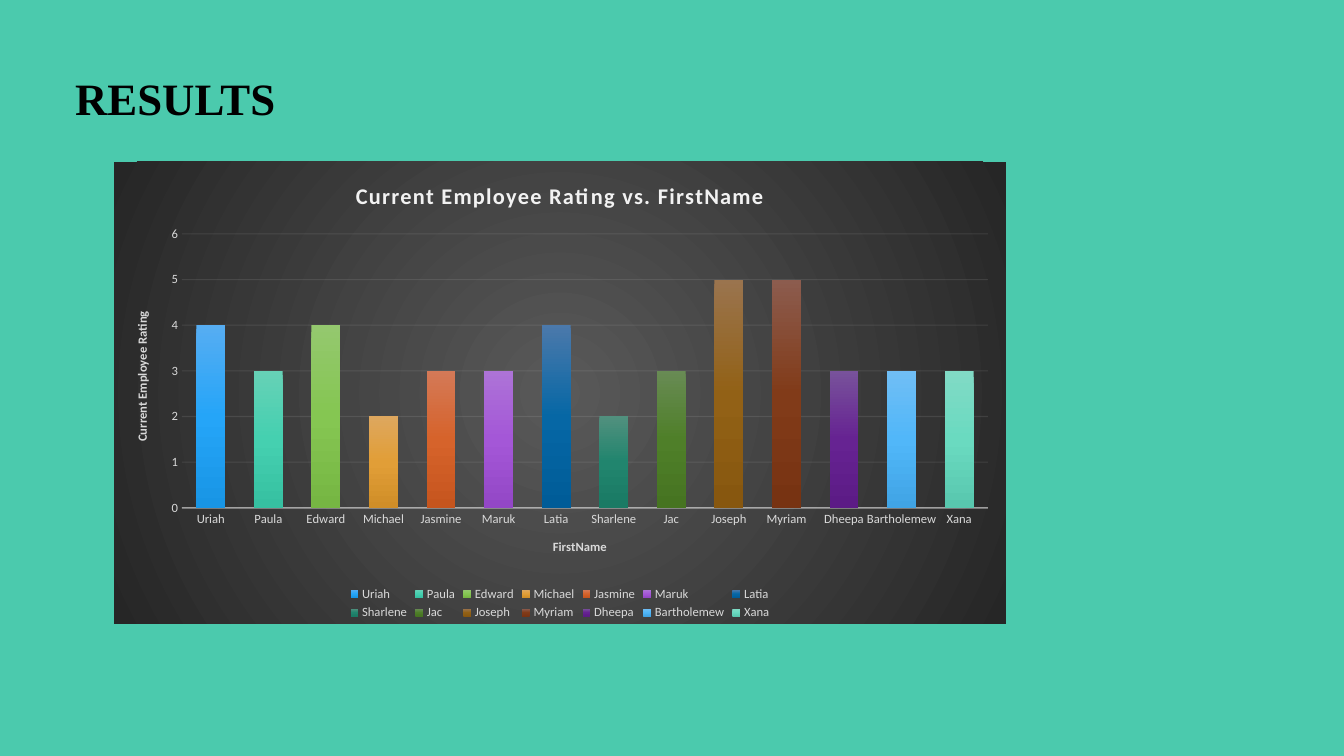
from lxml import etree
from pptx import Presentation
from pptx import util as u
from pptx.chart.data import CategoryChartData
from pptx.dml.color import RGBColor
from pptx.enum import chart as charts, text
from pptx.oxml import parse_xml
from pptx.oxml.ns import nsdecls, qn

PX = 914400 / 100.8
BODY_FONT = "Calibri"
LIGHT = "F2F2F2"
GREY = "D9D9D9"

# First name, rating, gradient from top to bottom
EMPLOYEES = [
    ("Uriah", 4, ("56ADF2", "25A5F8", "1895E5")),
    ("Paula", 3, ("66D1B6", "45D0B0", "36C0A1")),
    ("Edward", 4, ("94C86E", "85C652", "76B643")),
    ("Michael", 2, ("DEA75E", "E19E37", "D08E28")),
    ("Jasmine", 3, ("D47957", "D6632B", "C6551E")),
    ("Maruk", 3, ("AD73D7", "A457D7", "9347C6")),
    ("Latia", 4, ("4B79AB", "0667A5", "005C98")),
    ("Sharlene", 2, ("51907E", "21856E", "1A7A64")),
    ("Jac", 3, ("688B54", "4F7F29", "467421")),
    ("Joseph", 5, ("9A744E", "926116", "87570F")),
    ("Myriam", 5, ("8C5C4E", "813B19", "773312")),
    ("Dheepa", 3, ("78529B", "662392", "5C1B86")),
    ("Bartholemew", 3, ("70BEF5", "51B7F9", "40A4E5")),
    ("Xana", 3, ("81DAC5", "6ADAC0", "58C7AE")),
]


def style(font, size, colour, bold=False, name=BODY_FONT):
    font.name, font.size, font.bold = name, u.Pt(size), bold
    font.color.rgb = RGBColor.from_string(colour)


def gradient(colours, direction):
    """Gradient fill with evenly spaced stops."""
    stops = "".join(
        f'<a:gs pos="{100000 * i // (len(colours) - 1)}"><a:srgbClr val="{colour}"/></a:gs>'
        for i, colour in enumerate(colours))
    return parse_xml(f'<a:gradFill {nsdecls("a")} rotWithShape="1">'
                     f'<a:gsLst>{stops}</a:gsLst>{direction}</a:gradFill>')


deck = Presentation()
deck.slide_width, deck.slide_height = round(1344 * PX), round(756 * PX)
page = deck.slides.add_slide(deck.slide_layouts[5])
page.background.fill.solid()
page.background.fill.fore_color.rgb = RGBColor.from_string("4BCAAD")

# Heading
heading = page.shapes.title
heading.left, heading.top, heading.width, heading.height = (
    round(v * PX) for v in (65, 66, 765, 65))
frame = heading.text_frame
frame.text = "RESULTS"
frame.vertical_anchor = text.MSO_ANCHOR.TOP
frame.auto_size = text.MSO_AUTO_SIZE.NONE
para = frame.paragraphs[0]
para.alignment = text.PP_ALIGN.LEFT
style(para.font, 32, "000000", True, "Times New Roman")

# Rating chart
data = CategoryChartData()
data.categories = [name for name, rating, colours in EMPLOYEES]
data.add_series("Series 1", [rating for name, rating, colours in EMPLOYEES])
chart = page.shapes.add_chart(
    charts.XL_CHART_TYPE.COLUMN_CLUSTERED,
    *(round(v * PX) for v in (114, 162, 892, 462)), data).chart
style(chart.font, 10, "000000")

# Chart title
chart.has_title = True
chart.chart_title.include_in_layout = False
para = chart.chart_title.text_frame.paragraphs[0]
span = para.add_run()
span.text = "Current Employee Rating vs. FirstName"
style(span.font, 16, LIGHT, True)
span.font._element.set("spc", "100")

# Axes, with translucent lines
category_axis, value_axis = chart.category_axis, chart.value_axis
for axis, caption in ((category_axis, "FirstName"),
                      (value_axis, "Current Employee Rating")):
    axis.major_tick_mark = axis.minor_tick_mark = charts.XL_TICK_MARK.NONE
    style(axis.tick_labels.font, 9, GREY)
    axis.has_title = True
    para = axis.axis_title.text_frame.paragraphs[0]
    span = para.add_run()
    span.text = caption
    style(span.font, 9, GREY, True)
value_axis.minimum_scale, value_axis.maximum_scale, value_axis.major_unit = 0, 6, 1
value_axis.format.line.fill.background()
value_axis.has_major_gridlines = True
for line_format, width, opacity in (
        (category_axis.format, 1, 54),
        (value_axis.major_gridlines.format, 0.75, 10)):
    line = line_format.line
    line.width = u.Pt(width)
    line.color.rgb = RGBColor.from_string(LIGHT)
    for colour in line_format.element.spPr.iter(qn("a:srgbClr")):
        etree.SubElement(colour, qn("a:alpha")).set("val", str(opacity * 1000))

# Legend
chart.has_legend = True
chart.legend.position = charts.XL_LEGEND_POSITION.BOTTOM
chart.legend.include_in_layout = False
style(chart.legend.font, 9, GREY)

# Columns
plot = chart.plots[0]
plot.gap_width, plot.overlap, plot.vary_by_categories = 100, -24, True
for i, (name, rating, colours) in enumerate(EMPLOYEES):
    point = plot.series[0].points[i].format.element
    point.get_or_add_spPr().append(gradient(colours, '<a:lin ang="5400000" scaled="0"/>'))

# Plot area position, as shares of the chart
space = chart._chartSpace
area = space.find(".//" + qn("c:plotArea"))
for layout in area.findall(qn("c:layout")):
    area.remove(layout)
shares = "".join(f'<c:{key} val="{value}"/>' for key, value in (
    ("layoutTarget", "inner"), ("xMode", "edge"), ("yMode", "edge"),
    ("x", 68 / 892), ("y", 72 / 462), ("w", 806 / 892), ("h", 274 / 462)))
area.insert(0, parse_xml(f'<c:layout {nsdecls("c")}><c:manualLayout>{shares}'
                         '</c:manualLayout></c:layout>'))

# Dark radial backdrop
backdrop = parse_xml(f'<c:spPr {nsdecls("c", "a")}><a:ln><a:noFill/></a:ln></c:spPr>')
backdrop.insert(0, gradient(
    ("595959", "262626"),
    '<a:path path="circle"><a:fillToRect l="50000" t="50000" r="50000" b="50000"/></a:path>'))
space.find(qn("c:chart")).addnext(backdrop)

deck.save("out.pptx")
